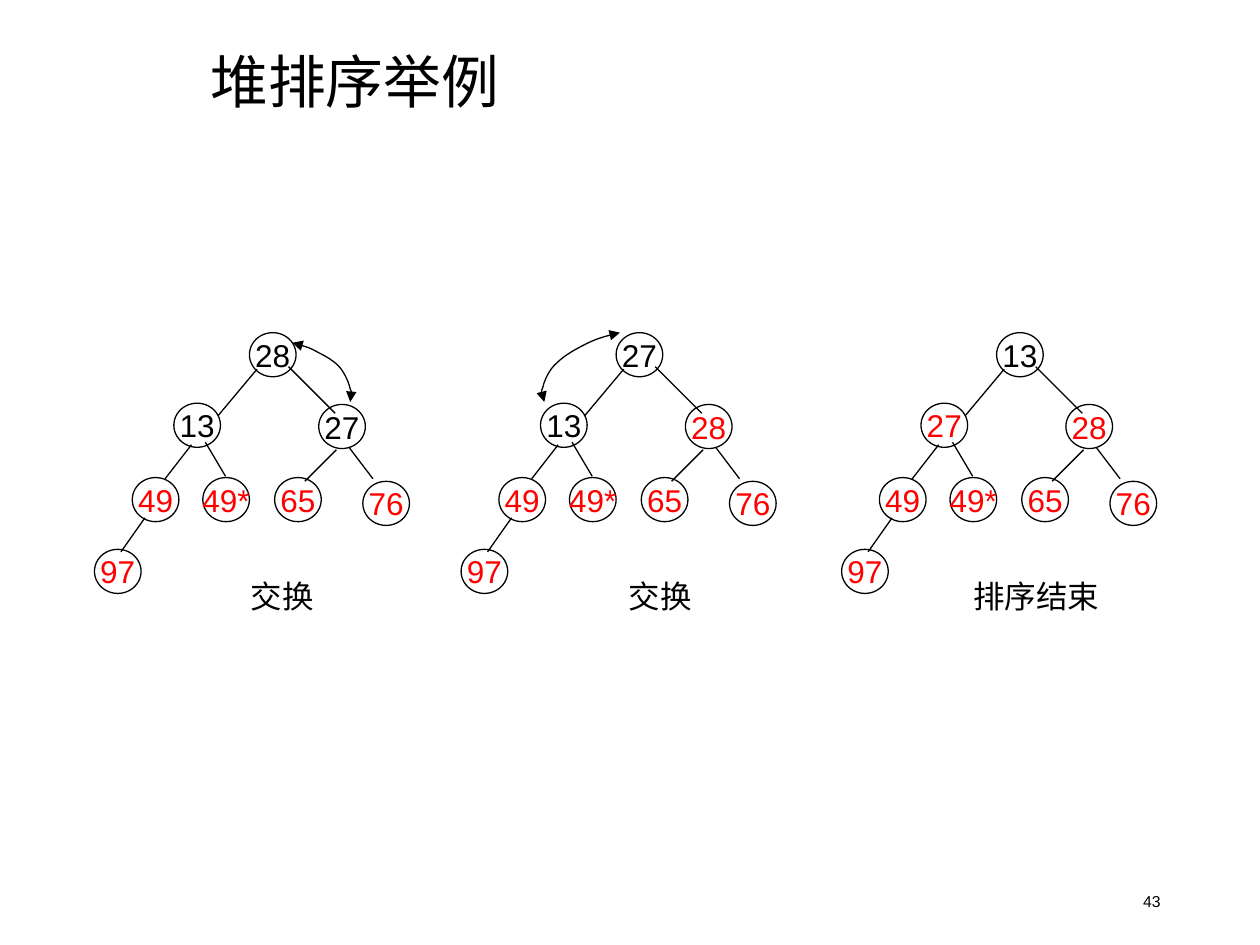
from pptx import Presentation
from pptx.dml.color import RGBColor
from pptx.enum.shapes import MSO_CONNECTOR, MSO_SHAPE
from pptx.enum.text import MSO_ANCHOR, MSO_AUTO_SIZE, PP_ALIGN
from pptx.oxml.ns import qn
from pptx.util import Inches, Pt
from lxml import etree

BLACK = RGBColor(0x00, 0x00, 0x00)
RED = RGBColor(0xFF, 0x00, 0x00)
LATIN_FONT = "Arial"
CHINESE_FONT = "Noto Sans CJK SC"
OVAL = MSO_SHAPE.OVAL
STRAIGHT = MSO_CONNECTOR.STRAIGHT
TOP, MIDDLE = MSO_ANCHOR.TOP, MSO_ANCHOR.MIDDLE
LEFT, CENTER, RIGHT = PP_ALIGN.LEFT, PP_ALIGN.CENTER, PP_ALIGN.RIGHT
NO_FIT = MSO_AUTO_SIZE.NONE

NODE_WIDTH, NODE_HEIGHT = 0.37, 0.35
NODE_PLACES = [
    (1.98, 2.64), (1.38, 3.20), (2.53, 3.21), (1.05, 3.79),
    (1.61, 3.79), (2.18, 3.79), (2.88, 3.82), (0.75, 4.36),
]
EDGES = [
    (2.04, 2.93, 1.73, 3.30), (2.29, 2.91, 2.66, 3.28),
    (1.52, 3.53, 1.31, 3.80), (1.63, 3.51, 1.79, 3.78),
    (2.67, 3.57, 2.42, 3.82), (2.77, 3.55, 2.96, 3.80),
    (1.15, 4.11, 0.96, 4.38),
]
TREES = [
    (0, ["28", "13", "27", "49", "49*", "65", "76", "97"], 3),
    (2.91, ["27", "13", "28", "49", "49*", "65", "76", "97"], 2),
    (5.93, ["13", "27", "28", "49", "49*", "65", "76", "97"], 1),
]
SWAP_CURVES = [
    [(2.32, 2.72), (2.39, 2.74), (2.46, 2.76), (2.53, 2.80), (2.59, 2.83),
     (2.66, 2.87), (2.70, 2.92), (2.74, 2.97), (2.77, 3.04), (2.78, 3.09),
     (2.80, 3.13), (2.79, 3.16), (2.78, 3.19)],
    [(4.92, 2.64), (4.83, 2.66), (4.73, 2.69), (4.65, 2.73), (4.57, 2.77),
     (4.48, 2.82), (4.42, 2.88), (4.36, 2.93), (4.32, 3.02), (4.31, 3.07),
     (4.29, 3.12), (4.30, 3.16), (4.32, 3.19)],
]
CAPTIONS = [(1.69, 1.10, "交换"), (4.69, 1.10, "交换"), (7.44, 1.57, "排序结束")]


def write_text(frame, text, *, size=18, color=BLACK, font=LATIN_FONT,
               align=CENTER, anchor=MIDDLE, wrap=True, spacing=None):
    frame.auto_size = NO_FIT
    frame.word_wrap = wrap
    frame.vertical_anchor = anchor
    para = frame.paragraphs[0]
    para.alignment = align
    para.line_spacing = spacing
    span = para.add_run()
    span.text = text
    span.font.size = Pt(size)
    span.font.name = font
    span.font.color.rgb = color
    east_asian = etree.SubElement(span.font.fill._xPr, qn("a:ea"))
    east_asian.set("typeface", CHINESE_FONT)


def bend_segments(shape):
    segments = list(shape.element.iter(qn("a:lnTo")))
    for start in range(0, len(segments), 3):
        curve = etree.Element(qn("a:cubicBezTo"))
        segments[start].addprevious(curve)
        for segment in segments[start:start + 3]:
            curve.append(segment[0])
            segment.getparent().remove(segment)


class SlideBuilder:
    def __init__(self, page, line_width=0.75):
        self.page = page
        self.line_width = Pt(line_width)

    def outline(self, line):
        line.color.rgb = BLACK
        line.width = self.line_width

    def title(self, left, top, width, height, text):
        box = self.page.shapes.title
        box.left, box.top = Inches(left), Inches(top)
        box.width, box.height = Inches(width), Inches(height)
        write_text(box.text_frame, text, size=33, font=CHINESE_FONT,
                   align=LEFT, spacing=0.9)

    def label(self, left, top, width, height, text, **style):
        box = self.page.shapes.add_textbox(
            Inches(left), Inches(top), Inches(width), Inches(height))
        write_text(box.text_frame, text, **style)

    def node(self, shapes, left, top, text, color):
        circle = shapes.add_shape(
            OVAL, Inches(left), Inches(top), Inches(NODE_WIDTH), Inches(NODE_HEIGHT))
        circle.shadow.inherit = False
        circle.fill.background()
        self.outline(circle.line)
        write_text(circle.text_frame, text, color=color, wrap=False)

    def edge(self, shapes, *ends):
        line = shapes.add_connector(STRAIGHT, *(Inches(end) for end in ends))
        etree.SubElement(line.element.spPr, qn("a:effectLst"))
        self.outline(line.line)

    def tree(self, offset, values, unsorted_count):
        group = self.page.shapes.add_group_shape()
        for index, ((left, top), value) in enumerate(zip(NODE_PLACES, values)):
            color = BLACK if index < unsorted_count else RED
            self.node(group.shapes, left + offset, top, value, color)
        for x1, y1, x2, y2 in EDGES:
            self.edge(group.shapes, x1 + offset, y1, x2 + offset, y2)

    def swap_curve(self, points):
        start, *rest = [(Inches(x), Inches(y)) for x, y in points]
        builder = self.page.shapes.build_freeform(*start)
        builder.add_line_segments(rest, close=False)
        curve = builder.convert_to_shape()
        bend_segments(curve)
        curve.shadow.inherit = False
        curve.fill.background()
        self.outline(curve.line)
        outline = curve.element.spPr.find(qn("a:ln"))
        for end in ("a:headEnd", "a:tailEnd"):
            etree.SubElement(outline, qn(end)).set("type", "triangle")


def main():
    deck = Presentation()
    deck.slide_width, deck.slide_height = Inches(10), Inches(7.5)
    page = deck.slides.add_slide(deck.slide_layouts[5])
    builder = SlideBuilder(page)
    builder.title(1.57, 0.35, 8.43, 0.65, "堆排序举例")
    for offset, values, unsorted_count in TREES:
        builder.tree(offset, values, unsorted_count)
    for points in SWAP_CURVES:
        builder.swap_curve(points)
    for left, width, text in CAPTIONS:
        builder.label(left, 4.53, width, 0.4, text, anchor=TOP)
    builder.label(7.06, 6.95, 2.25, 0.4, "43", size=9, align=RIGHT)
    deck.save("out.pptx")


if __name__ == "__main__":
    main()
